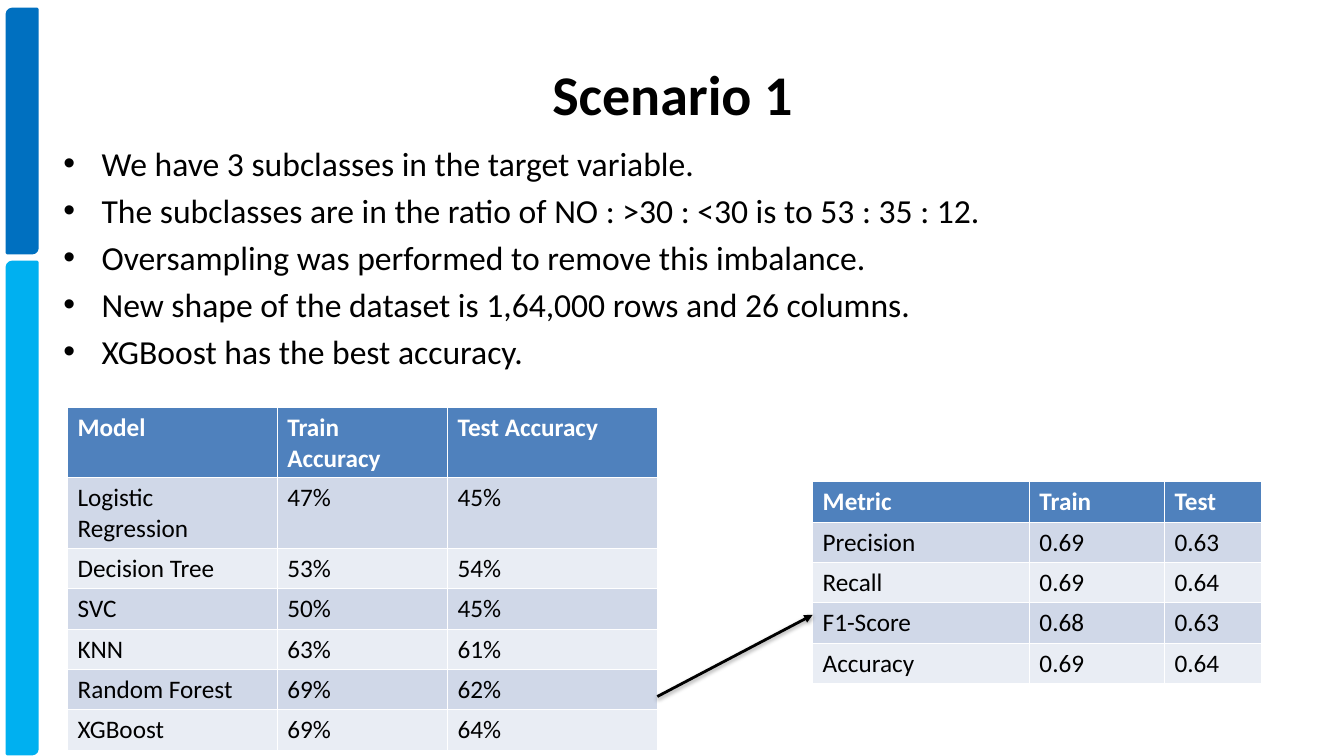
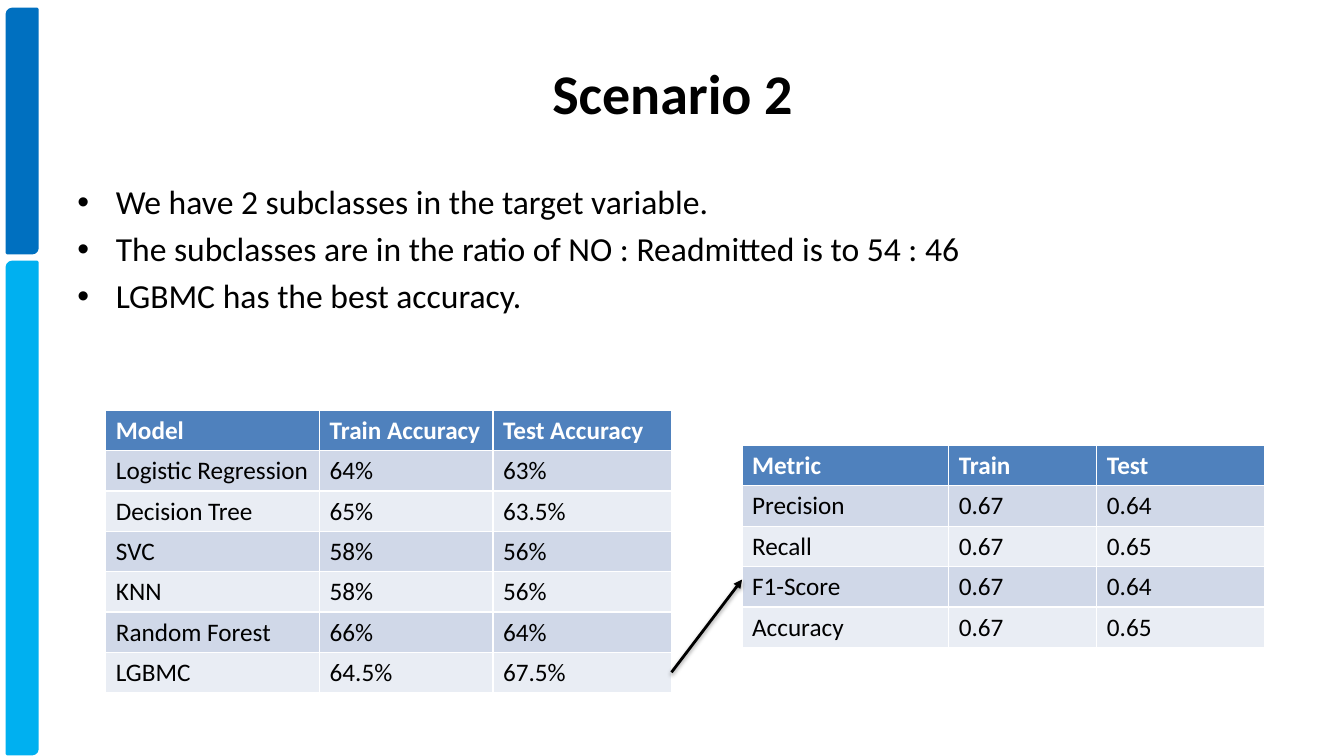
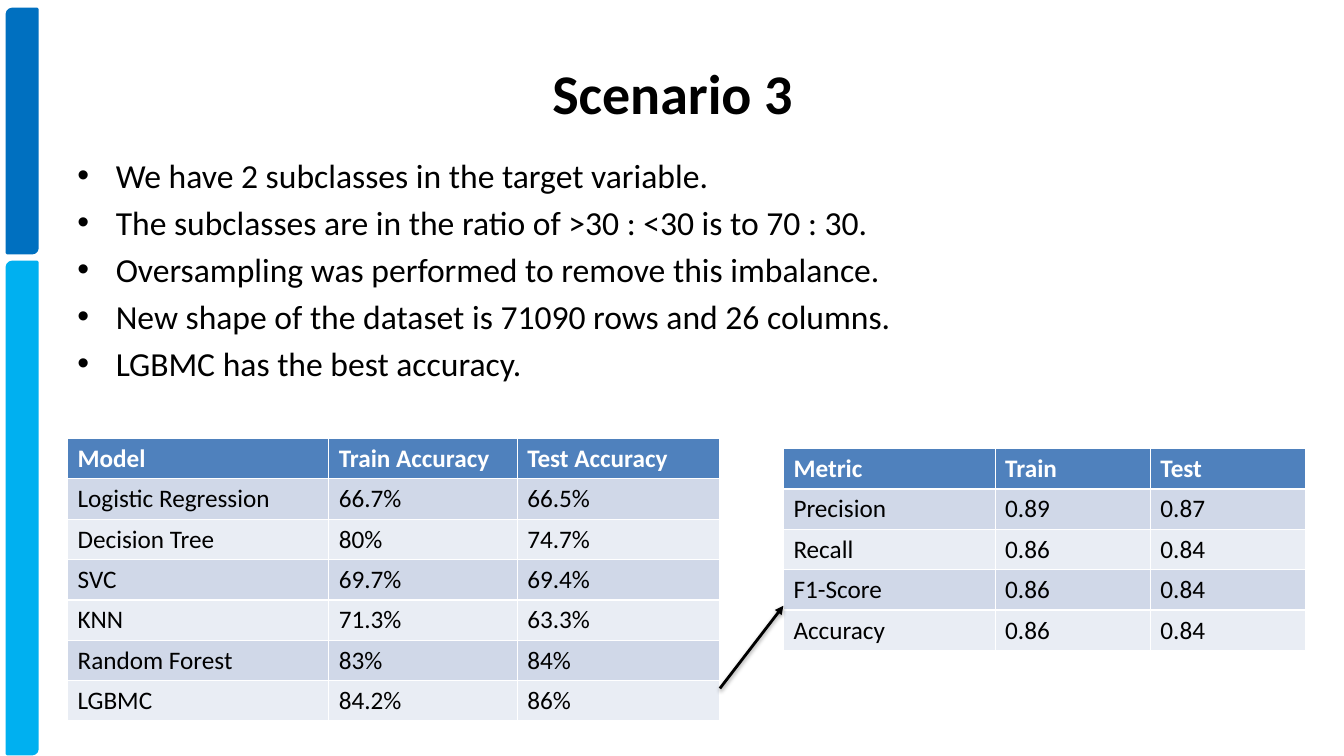
import dataclasses
from typing import Any

import pptx
import pptx.dml.color
import pptx.enum.shapes
import pptx.enum.text
import pptx.oxml
import pptx.oxml.ns
import pptx.util

RGBColor = pptx.dml.color.RGBColor
Inches = pptx.util.Inches
Pt = pptx.util.Pt

BLACK = RGBColor(0x00, 0x00, 0x00)
WHITE = RGBColor(0xFF, 0xFF, 0xFF)
DEEP_BLUE = RGBColor(0x00, 0x70, 0xC0)
SKY_BLUE = RGBColor(0x00, 0xB0, 0xF0)
HEADER_BLUE = RGBColor(0x4F, 0x81, 0xBD)
ROW_DARK = RGBColor(0xD0, 0xD8, 0xE8)
ROW_LIGHT = RGBColor(0xE9, 0xED, 0xF4)

TITLE_FONT = {"name": "Calibri", "size": Pt(40), "bold": True}
BULLET_FONT = {"name": "Calibri", "size": Pt(24), "bold": False}
HEADER_FONT = {"name": "Calibri", "size": Pt(18), "bold": True}
CELL_FONT = {"name": "Calibri", "size": Pt(18), "bold": False}

TEXT_WIDTH = 12
ROW_HEIGHT = 0.4
BULLET_INDENT = Inches(0.38)

MODEL_HEADER = ("Model", "Train Accuracy ", "Test Accuracy")
METRIC_HEADER = ("Metric", "Train", "Test")
METRICS = ("Precision", "Recall", "F1-Score", "Accuracy")
COMMON_MODELS = ("Logistic Regression", "Decision Tree", "SVC", "KNN", "Random Forest")

NAMESPACE = pptx.oxml.ns.nsdecls("a")
ARROWHEAD = f'<a:tailEnd {NAMESPACE} type="triangle"/>'
ARROW_SHADOW = (
    f'<a:effectLst {NAMESPACE}><a:outerShdw blurRad="40000" dist="20000" dir="5400000" '
    'rotWithShape="0"><a:srgbClr val="000000"><a:alpha val="38000"/></a:srgbClr>'
    "</a:outerShdw></a:effectLst>"
)
BULLET_MARKS = (f'<a:buFont {NAMESPACE} typeface="Arial"/>', f'<a:buChar {NAMESPACE} char="•"/>')


@dataclasses.dataclass(frozen=True)
class Band:
    """A coloured band at the left edge of every slide."""

    top: float
    height: float
    color: RGBColor


@dataclasses.dataclass(frozen=True)
class ScoreTable:
    """A table of a label and its train and test scores."""

    left: float
    top: float
    widths: tuple[float, ...]
    header: tuple[str, ...]
    labels: tuple[str, ...]
    train: tuple[str, ...]
    test: tuple[str, ...]

    @property
    def right(self) -> float:
        """Return the right edge in inches."""
        return self.left + sum(self.widths)


@dataclasses.dataclass(frozen=True)
class Scenario:
    """Everything that differs between scenario slides."""

    title: str
    title_top: float
    bullets: tuple[str, ...]
    bullets_left: float
    bullets_top: float
    models: ScoreTable
    metrics: ScoreTable
    arrow_start: float
    arrow_end: float


BANDS = (Band(0.09, 2.42, DEEP_BLUE), Band(2.6, 4.88, SKY_BLUE))

SCENARIOS = (
    Scenario(
        "Scenario 1", 0.3,
        (
            "We have 3 subclasses in the target variable. ",
            "The subclasses are in the ratio of NO : >30 : <30 is to 53 : 35 : 12. ",
            "Oversampling was performed to remove this imbalance. ",
            "New shape of the dataset is 1,64,000 rows and 26 columns.",
            "XGBoost has the best accuracy.",
        ),
        0.53, 1.37,
        ScoreTable(
            0.67, 4.04, (2.08, 1.69, 2.08), MODEL_HEADER, COMMON_MODELS + ("XGBoost",),
            ("47%", "53%", "50%", "63%", "69%", "69%"),
            ("45%", "54%", "45%", "61%", "62%", "64%"),
        ),
        ScoreTable(
            8.06, 4.78, (2.15, 1.34, 0.96), METRIC_HEADER, METRICS,
            ("0.69", "0.69", "0.68", "0.69"), ("0.63", "0.64", "0.63", "0.64"),
        ),
        6.91, 6.1,
    ),
    Scenario(
        "Scenario 2", 0.29,
        (
            "We have 2 subclasses in the target variable.",
            "The subclasses are in the ratio of NO : Readmitted is to 54 : 46",
            "LGBMC has the best accuracy.",
        ),
        0.67, 1.75,
        ScoreTable(
            1.05, 4.07, (2.12, 1.72, 1.77), MODEL_HEADER, COMMON_MODELS + ("LGBMC",),
            ("64%", "65%", "58%", "58%", "66%", "64.5%"),
            ("63%", "63.5%", "56%", "56%", "64%", "67.5%"),
        ),
        ScoreTable(
            7.36, 4.42, (2.05, 1.47, 1.66), METRIC_HEADER, METRICS,
            ("0.67", "0.67", "0.67", "0.67"), ("0.64", "0.65", "0.64", "0.65"),
        ),
        6.67, 5.75,
    ),
    Scenario(
        "Scenario 3", 0.29,
        (
            "We have 2 subclasses in the target variable.",
            "The subclasses are in the ratio of >30 : <30 is to 70 : 30. ",
            "Oversampling was performed to remove this imbalance. ",
            "New shape of the dataset is 71090 rows and 26 columns.",
            "LGBMC has the best accuracy.",
        ),
        0.67, 1.49,
        ScoreTable(
            0.67, 4.35, (2.59, 1.87, 2.01), MODEL_HEADER, COMMON_MODELS + ("LGBMC",),
            ("66.7%", "80%", "69.7%", "71.3%", "83%", "84.2%"),
            ("66.5%", "74.7%", "69.4%", "63.3%", "84%", "86%"),
        ),
        ScoreTable(
            7.77, 4.45, (2.1, 1.54, 1.54), METRIC_HEADER, METRICS,
            ("0.89", "0.86", "0.86", "0.86"), ("0.87", "0.84", "0.84", "0.84"),
        ),
        6.83, 6.01,
    ),
)


def write(paragraph: Any, text: str, font_values: dict[str, Any], color: RGBColor = BLACK) -> None:
    """Add a run of text with the given font values."""
    run = paragraph.add_run()
    run.text = text
    for attribute, value in font_values.items():
        setattr(run.font, attribute, value)
    run.font.color.rgb = color


def draw_band(slide: Any, band: Band) -> None:
    """Draw one band of the left edge."""
    shape = slide.shapes.add_shape(
        pptx.enum.shapes.MSO_SHAPE.ROUND_2_DIAG_RECTANGLE,
        Inches(0.07), Inches(band.top), Inches(0.3), Inches(band.height),
    )
    shape.shadow.inherit = False
    shape.fill.solid()
    shape.fill.fore_color.rgb = band.color
    shape.line.color.rgb = band.color
    shape.line.width = Pt(2)


def add_text_frame(slide: Any, left: float, top: float, height: float) -> Any:
    """Add a wrapping text box and return its text frame."""
    frame = slide.shapes.add_textbox(
        Inches(left), Inches(top), Inches(TEXT_WIDTH), Inches(height)
    ).text_frame
    frame.word_wrap = True
    return frame


def draw_title(slide: Any, title: str, top: float) -> None:
    """Write the centred slide title."""
    frame = add_text_frame(slide, 0.67, top, 1.25)
    frame.vertical_anchor = pptx.enum.text.MSO_ANCHOR.MIDDLE
    frame.paragraphs[0].alignment = pptx.enum.text.PP_ALIGN.CENTER
    write(frame.paragraphs[0], title, TITLE_FONT)


def draw_bullets(slide: Any, bullets: tuple[str, ...], left: float, top: float) -> None:
    """Write the bulleted findings."""
    frame = add_text_frame(slide, left, top, 5.34)
    for index, bullet in enumerate(bullets):
        paragraph = frame.add_paragraph() if index else frame.paragraphs[0]
        paragraph.space_before = Pt(4.8)
        properties = paragraph._p.get_or_add_pPr()
        properties.set("marL", str(BULLET_INDENT))
        properties.set("indent", str(-BULLET_INDENT))
        for mark in BULLET_MARKS:
            properties.append(pptx.oxml.parse_xml(mark))
        write(paragraph, bullet, BULLET_FONT)


def draw_scores(slide: Any, scores: ScoreTable) -> None:
    """Draw a score table with a blue header and alternating rows."""
    rows = [scores.header, *zip(scores.labels, scores.train, scores.test)]
    table = slide.shapes.add_table(
        len(rows), len(scores.widths), Inches(scores.left), Inches(scores.top),
        Inches(sum(scores.widths)), Inches(ROW_HEIGHT * len(rows)),
    ).table
    for column, width in zip(table.columns, scores.widths):
        column.width = Inches(width)
    for row_index, row in enumerate(rows):
        if row_index == 0:
            fill, font, color = HEADER_BLUE, HEADER_FONT, WHITE
        else:
            fill, font, color = (ROW_DARK if row_index % 2 else ROW_LIGHT), CELL_FONT, BLACK
        for column_index, text in enumerate(row):
            cell = table.cell(row_index, column_index)
            cell.fill.solid()
            cell.fill.fore_color.rgb = fill
            write(cell.text_frame.paragraphs[0], text, font, color)


def draw_arrow(slide: Any, scenario: Scenario) -> None:
    """Draw the arrow from the best model to its metrics."""
    arrow = slide.shapes.add_connector(
        pptx.enum.shapes.MSO_CONNECTOR.STRAIGHT,
        Inches(scenario.models.right), Inches(scenario.arrow_start),
        Inches(scenario.metrics.left), Inches(scenario.arrow_end),
    )
    arrow.line.color.rgb = BLACK
    arrow.line.width = Pt(2)
    arrow.line._get_or_add_ln().append(pptx.oxml.parse_xml(ARROWHEAD))
    arrow._element.spPr.append(pptx.oxml.parse_xml(ARROW_SHADOW))


def draw_scenario(deck: Any, scenario: Scenario) -> None:
    """Add one scenario slide."""
    slide = deck.slides.add_slide(deck.slide_layouts[6])
    for band in BANDS:
        draw_band(slide, band)
    draw_title(slide, scenario.title, scenario.title_top)
    draw_bullets(slide, scenario.bullets, scenario.bullets_left, scenario.bullets_top)
    draw_scores(slide, scenario.models)
    draw_scores(slide, scenario.metrics)
    draw_arrow(slide, scenario)


def main() -> None:
    """Build and save the presentation."""
    deck = pptx.Presentation()
    deck.slide_width = Inches(13.33)
    deck.slide_height = Inches(7.5)
    for scenario in SCENARIOS:
        draw_scenario(deck, scenario)
    deck.save("out.pptx")


main()
